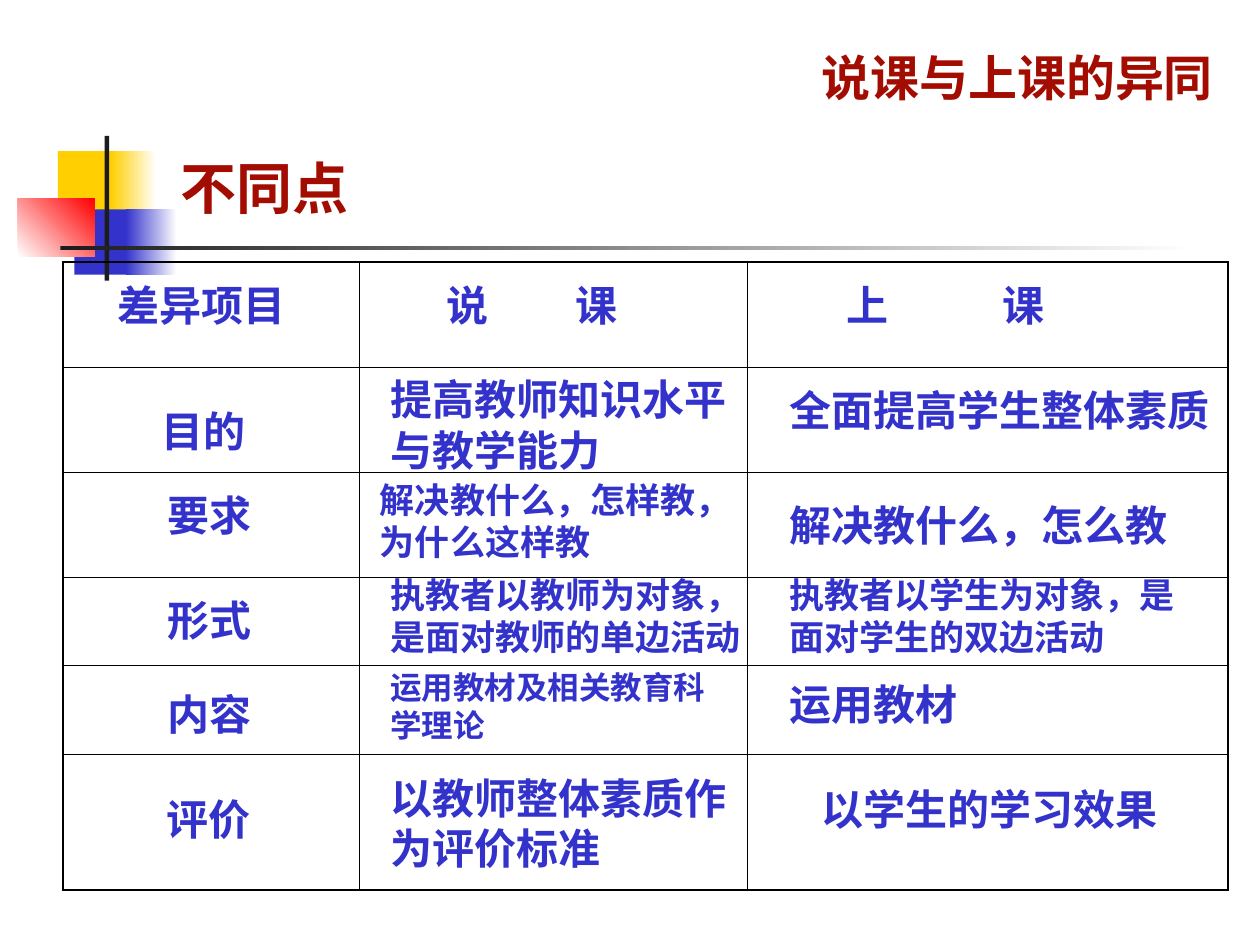
from dataclasses import dataclass

from lxml import etree
from pptx import Presentation
from pptx import oxml
from pptx.dml import color
from pptx.enum import shapes, text
from pptx.oxml import ns
from pptx.util import Cm, Pt

RED, BLUE, YELLOW, DARK, WHITE = "A30D01", "3333CC", "FFCF01", "1C1C1C", "FFFFFF"
COLUMN_WIDTHS = (5.97, 7.82, 9.7)
ROW_HEIGHTS = (2.12, 2.12, 2.12, 1.78, 1.78, 2.74)
OUTER, INNER = Pt(1.08), Pt(0.45)


@dataclass
class Block:
    left: float
    top: float
    width: float
    height: float
    start: str
    end: str = ""
    angle: float = 0


@dataclass
class Label:
    words: str
    left: float
    top: float
    width: float
    height: float = 1.27
    size: float = 24
    ink: str = BLUE
    font: str = "Lato"
    centred: bool = False
    tabs: tuple[float, ...] = ()


BLOCKS = (
    Block(1.17, 3.05, 1.22, 1.32, YELLOW),
    Block(2.24, 3.05, 0.91, 1.32, YELLOW, WHITE),
    Block(1.5, 4.22, 1.17, 1.32, BLUE),
    Block(2.54, 4.22, 1.02, 1.32, BLUE, WHITE),
    Block(0.36, 4.01, 1.55, 1.17, WHITE, "FF0000", 45),
    Block(2.11, 2.74, 0.09, 2.92, DARK),
    Block(1.22, 4.95, 22.86, 0.09, DARK, WHITE),
)

TITLES = (
    Label("说课与上课的异同", 16.31, 0.84, 8.46, 1.45, 28, RED, "Times New Roman"),
    Label("不同点", 3.38, 2.97, 4.45, 1.63, 32, RED, "Times New Roman"),
)

TABLE_LABELS = (
    Label("差异项目\t说\t课\t上\t课", 2.12, 5.5, 22.43, font="Times New Roman",
          tabs=(6.64, 9.24, 14.7, 17.84)),
    Label("目的", 1.78, 8.04, 4.66, centred=True),
    Label("提高教师知识水平与教学能力", 7.62, 7.41, 7.42, 2.29),
    Label("全面提高学生整体素质", 15.66, 7.62, 9.31),
    Label("要求", 1.69, 9.74, 5.08, centred=True),
    Label("解决教什么，怎样教，为什么这样教", 7.41, 9.53, 8.04, 1.96, 20),
    Label("解决教什么，怎么教", 15.66, 9.95, 8.68),
    Label("形式", 1.69, 11.85, 5.08, centred=True),
    Label("执教者以教师为对象，是面对教师的单边活动", 7.62, 11.43, 7.62, 1.96, 20),
    Label("执教者以学生为对象，是面对学生的双边活动", 15.66, 11.43, 8.68, 1.96, 20),
    Label("内容", 1.69, 13.76, 5.08, centred=True),
    Label("运用教材及相关教育科学理论", 7.62, 13.34, 7.2, 1.78, 18),
    Label("运用教材", 15.66, 13.55, 8.04),
    Label("评价", 1.88, 15.88, 4.66, centred=True),
    Label("以教师整体素质作为评价标准", 7.62, 15.45, 7.42, 2.29),
    Label("以学生的学习效果", 16.31, 15.66, 7.42),
)


def rgb(value: str) -> color.RGBColor:
    return color.RGBColor.from_string(value)


def draw_block(slide, block: Block) -> None:
    shape = slide.shapes.add_shape(
        shapes.MSO_SHAPE.RECTANGLE,
        Cm(block.left), Cm(block.top), Cm(block.width), Cm(block.height))
    shape.shadow.inherit = False
    shape.line.fill.background()
    if block.end:
        shape.fill.gradient()
        shape.fill.gradient_angle = block.angle
        for stop, value in zip(shape.fill.gradient_stops, (block.start, block.end)):
            stop.color.rgb = rgb(value)
    else:
        shape.fill.solid()
        shape.fill.fore_color.rgb = rgb(block.start)


def draw_label(slide, label: Label) -> None:
    box = slide.shapes.add_textbox(
        Cm(label.left), Cm(label.top), Cm(label.width), Cm(label.height))
    frame = box.text_frame
    frame.word_wrap = True
    frame.auto_size = text.MSO_AUTO_SIZE.SHAPE_TO_FIT_TEXT
    paragraph = frame.paragraphs[0]
    paragraph.text = label.words
    if label.centred:
        paragraph.alignment = text.PP_ALIGN.CENTER
    if label.tabs:
        properties = paragraph._p.get_or_add_pPr()
        stops = etree.SubElement(properties, ns.qn("a:tabLst"))
        for position in label.tabs:
            etree.SubElement(stops, ns.qn("a:tab"), pos=str(Cm(position)), algn="l")
    paragraph.font.size = Pt(label.size)
    paragraph.font.name = label.font
    paragraph.font.bold = True
    paragraph.font.color.rgb = rgb(label.ink)


def set_border(cell, side: str, width: int) -> None:
    line = oxml.parse_xml(
        f'<a:{side} {ns.nsdecls("a")} w="{width}"><a:solidFill>'
        f'<a:srgbClr val="000000"/></a:solidFill></a:{side}>')
    cell._tc.get_or_add_tcPr().append(line)


def draw_grid(slide) -> None:
    last_row, last_column = len(ROW_HEIGHTS) - 1, len(COLUMN_WIDTHS) - 1
    table = slide.shapes.add_table(
        len(ROW_HEIGHTS), len(COLUMN_WIDTHS), Cm(1.27), Cm(5.28),
        Cm(sum(COLUMN_WIDTHS)), Cm(sum(ROW_HEIGHTS))).table
    table.first_row = table.horz_banding = False
    for column, width in zip(table.columns, COLUMN_WIDTHS):
        column.width = Cm(width)
    for row_index, (row, height) in enumerate(zip(table.rows, ROW_HEIGHTS)):
        row.height = Cm(height)
        for column_index, cell in enumerate(row.cells):
            edges = {"lnL": column_index == 0, "lnR": column_index == last_column,
                     "lnT": row_index == 0, "lnB": row_index == last_row}
            for side, is_outer in edges.items():
                set_border(cell, side, OUTER if is_outer else INNER)
            cell.fill.background()


def main() -> None:
    """Build the slide that compares explaining a lesson with teaching it."""
    presentation = Presentation()
    presentation.slide_width, presentation.slide_height = Cm(25.4), Cm(19.05)
    slide = presentation.slides.add_slide(presentation.slide_layouts[6])
    for block in BLOCKS:
        draw_block(slide, block)
    for label in TITLES:
        draw_label(slide, label)
    draw_grid(slide)
    for label in TABLE_LABELS:
        draw_label(slide, label)
    presentation.save("out.pptx")


if __name__ == "__main__":
    main()
